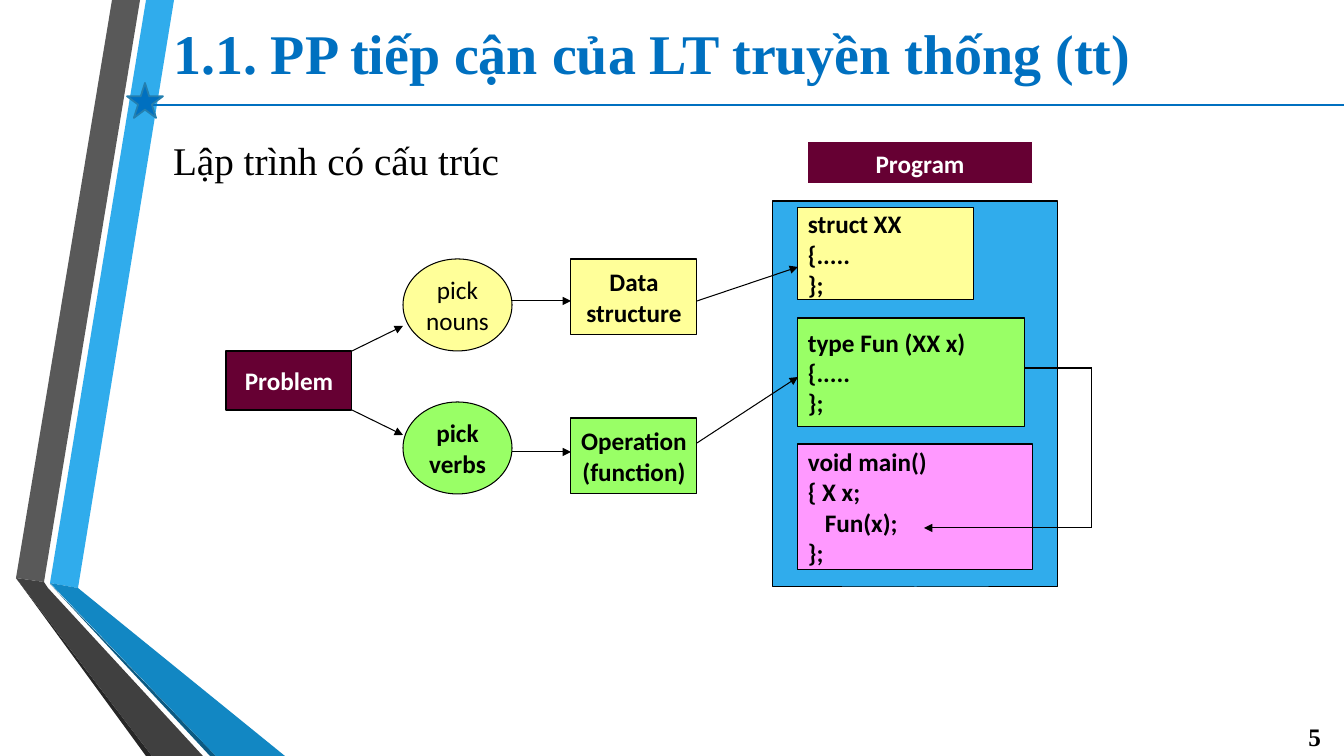
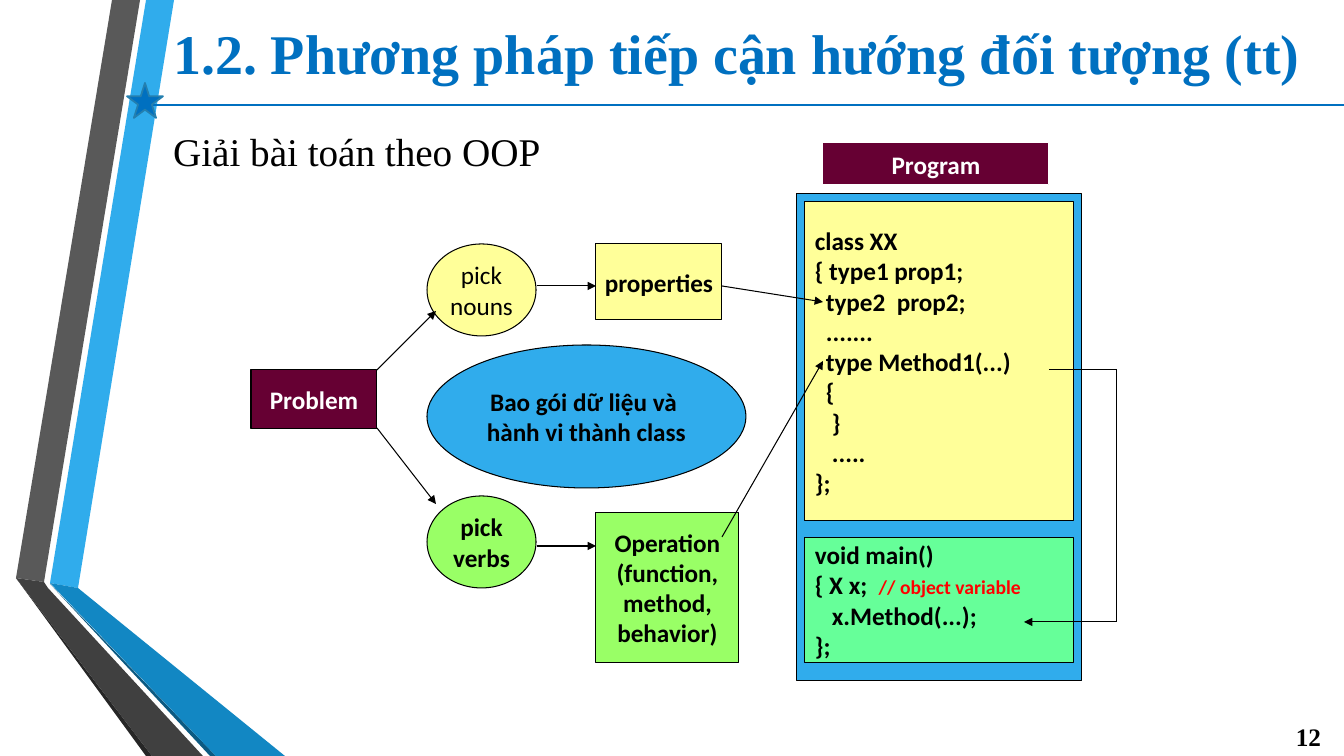
import dataclasses
import typing

import lxml.etree
import pptx
import pptx.dml.color
import pptx.enum.shapes
import pptx.enum.text
import pptx.oxml.ns
import pptx.util

SCALE = 914400 / 100.8
WIDTH, HEIGHT = 1344, 756
SERIF, SANS = "Times New Roman", "Calibri"
BLUE, SKY, MAROON = "0070C0", "30ACEC", "660033"
YELLOW, GREEN, MINT, PINK = "FFFF99", "99FF66", "66FF99", "FF99FF"
BLACK, WHITE, RED = "000000", "FFFFFF", "FF0000"

SHAPE = pptx.enum.shapes.MSO_SHAPE
ALIGN = pptx.enum.text.PP_ALIGN
ANCHOR = pptx.enum.text.MSO_ANCHOR
NO_FIT = pptx.enum.text.MSO_AUTO_SIZE.NONE

TITLE_FONT = {"name": SERIF, "size": pptx.util.Pt(40), "bold": True}
BODY_FONT = {"name": SERIF, "size": pptx.util.Pt(28), "bold": False}
NUMBER_FONT = {"name": SERIF, "size": pptx.util.Pt(18), "bold": True}
BOX_FONT = {"name": SANS, "size": pptx.util.Pt(18), "bold": True}
NOTE_FONT = {"name": SANS, "size": pptx.util.Pt(14), "bold": True}


@dataclasses.dataclass(frozen=True)
class Band:
    fill: str
    points: tuple[tuple[int, int], ...]


@dataclasses.dataclass(frozen=True)
class Line:
    text: str
    indent: int = 0
    note: str = ""


@dataclasses.dataclass(frozen=True)
class Box:
    x: int
    y: int
    w: int
    h: int
    fill: str
    lines: tuple[typing.Union[str, Line], ...] = ()
    align: ALIGN = ALIGN.CENTER
    kind: SHAPE = SHAPE.RECTANGLE
    color: str = BLACK
    border: str = BLACK
    bold: bool = True


@dataclasses.dataclass(frozen=True)
class Link:
    x1: int
    y1: int
    x2: int
    y2: int
    arrow: bool = True


@dataclasses.dataclass(frozen=True)
class Page:
    title: str
    body: str
    spacing: float
    number: str
    boxes: tuple[Box, ...]
    links: tuple[Link, ...]


BANDS = (
    Band(SKY, ((50, 583), (78, 588), (174, 0), (146, 0))),
    Band("595959", ((140, 0), (112, 0), (16, 578), (44, 582))),
    Band("262626", ((16, 578), (146, 756), (152, 756))),
    Band("0C5A82", ((50, 584), (210, 756), (216, 756))),
    Band("1287C3", ((50, 583), (216, 756), (285, 756), (78, 588))),
    Band("404040", ((203, 756), (48, 588), (44, 582), (16, 578), (152, 756))),
)


def px(n: float) -> int:
    return round(n * SCALE)


def rgb(value: str) -> pptx.dml.color.RGBColor:
    return pptx.dml.color.RGBColor.from_string(value)


def apply(target: typing.Any, values: dict[str, typing.Any]) -> None:
    for name, value in values.items():
        setattr(target, name, value)


def paint(sp: typing.Any, fill: str, border: str = "", width: float = 0.75) -> None:
    sp.shadow.inherit = False
    sp.fill.solid()
    sp.fill.fore_color.rgb = rgb(fill)
    if border:
        sp.line.color.rgb = rgb(border)
        sp.line.width = pptx.util.Pt(width)
    else:
        sp.line.fill.background()


def add_run(p: typing.Any, text: str, font: dict[str, typing.Any], color: str) -> None:
    r = p.add_run()
    r.text = text
    apply(r.font, font)
    r.font.color.rgb = rgb(color)


def set_text(sp: typing.Any, text: str, font: dict[str, typing.Any], color: str,
             align: ALIGN, anchor: ANCHOR) -> typing.Any:
    apply(sp.text_frame, {"word_wrap": True, "auto_size": NO_FIT, "vertical_anchor": anchor})
    p = sp.text_frame.paragraphs[0]
    apply(p, {"alignment": align, "space_before": pptx.util.Pt(0)})
    add_run(p, text, font, color)
    return p


def place(sp: typing.Any, x: int, y: int, w: int, h: int) -> None:
    apply(sp, {"left": px(x), "top": px(y), "width": px(w), "height": px(h)})


def draw_link(s: typing.Any, link: Link, color: str = BLACK, width: float = 0.75) -> None:
    cx = s.shapes.add_connector(
        pptx.enum.shapes.MSO_CONNECTOR.STRAIGHT,
        px(link.x1), px(link.y1), px(link.x2), px(link.y2))
    cx.line.color.rgb = rgb(color)
    cx.line.width = pptx.util.Pt(width)
    qn = pptx.oxml.ns.qn
    if link.arrow:
        lxml.etree.SubElement(cx.line._get_or_add_ln(), qn("a:tailEnd"), type="triangle")
    lxml.etree.SubElement(cx._element.spPr, qn("a:effectLst"))


def draw_box(s: typing.Any, box: Box) -> None:
    sp = s.shapes.add_shape(box.kind, px(box.x), px(box.y), px(box.w), px(box.h))
    paint(sp, box.fill, box.border)
    tf = sp.text_frame
    apply(tf, {"word_wrap": False, "vertical_anchor": ANCHOR.MIDDLE})
    for i, entry in enumerate(box.lines):
        line = Line(entry) if isinstance(entry, str) else entry
        p = tf.add_paragraph() if i else tf.paragraphs[0]
        p.alignment = box.align
        if line.indent:
            p._p.get_or_add_pPr().set("marL", str(px(line.indent)))
        add_run(p, line.text, {**BOX_FONT, "bold": box.bold}, box.color)
        if line.note:
            add_run(p, line.note, NOTE_FONT, RED)


def draw_frame(s: typing.Any) -> None:
    for band in BANDS:
        fb = s.shapes.build_freeform(*band.points[0], scale=SCALE)
        fb.add_line_segments(band.points[1:], close=True)
        paint(fb.convert_to_shape(), band.fill)
    draw_link(s, Link(151, 105, WIDTH, 105, arrow=False), BLUE, 1.75)
    star = s.shapes.add_shape(SHAPE.STAR_5_POINT, px(127), px(83), px(36), px(35))
    paint(star, BLUE, "247FAF", 1.25)


def draw_page(prs: typing.Any, page: Page) -> None:
    s = prs.slides.add_slide(prs.slide_layouts[1])
    draw_frame(s)
    title, body = s.shapes.title, s.placeholders[1]
    place(title, 163, 0, 1165, 105)
    set_text(title, page.title, TITLE_FONT, BLUE, ALIGN.LEFT, ANCHOR.MIDDLE)
    place(body, 163, 122, 1165, 594)
    p = set_text(body, page.body, BODY_FONT, BLACK, ALIGN.LEFT, ANCHOR.TOP)
    p.line_spacing = page.spacing
    pPr = p._p.get_or_add_pPr()
    apply_indent = {"marL": "0", "indent": "0"}
    for name, value in apply_indent.items():
        pPr.set(name, value)
    lxml.etree.SubElement(pPr, pptx.oxml.ns.qn("a:buNone"))
    number = s.shapes.add_textbox(px(1257), px(716), px(74), px(40))
    set_text(number, page.number, NUMBER_FONT, BLACK, ALIGN.RIGHT, ANCHOR.MIDDLE)
    for box in page.boxes:
        draw_box(s, box)
    for link in page.links:
        draw_link(s, link)


def problem(x: int, y: int) -> Box:
    return Box(x, y, 126, 59, MAROON, ("Problem",), color=WHITE)


def program(x: int, y: int) -> Box:
    return Box(x, y, 226, 42, MAROON, ("Program",), color=WHITE, border=WHITE)


def picks(x: int, nouns_y: int, verbs_y: int) -> tuple[Box, Box]:
    return (
        Box(x, nouns_y, 109, 92, YELLOW, ("pick", "nouns"), kind=SHAPE.OVAL, bold=False),
        Box(x, verbs_y, 109, 92, GREEN, ("pick", "verbs"), kind=SHAPE.OVAL),
    )


def call_loop(x1: int, y1: int, bend: int, x2: int, y2: int) -> tuple[Link, ...]:
    return (
        Link(x1, y1, bend, y1, arrow=False),
        Link(bend, y1, bend, y2, arrow=False),
        Link(bend, y2, x2, y2),
    )


PAGES = (
    Page(
        "1.1. PP tiếp cận của LT truyền thống (tt)", "Lập trình có cấu trúc", 1.2, "5",
        (
            problem(226, 351),
            Box(571, 259, 126, 76, YELLOW, ("Data", "structure")),
            Box(571, 418, 126, 76, GREEN, ("Operation", "(function)")),
            program(807, 142),
            Box(773, 201, 285, 386, SKY),
            Box(798, 208, 176, 92, YELLOW, ("struct XX", "{.....", "};"), ALIGN.LEFT),
            Box(798, 318, 227, 109, GREEN, ("type Fun (XX x)", "{.....", "};"), ALIGN.LEFT),
            Box(798, 444, 235, 126, PINK,
                ("void main()", "{ X x;", Line("Fun(x);", 17), "};"), ALIGN.LEFT),
            *picks(403, 259, 402),
        ),
        (
            Link(352, 351, 403, 326), Link(512, 301, 571, 301), Link(697, 301, 798, 267),
            Link(352, 410, 403, 435), Link(512, 452, 571, 452), Link(697, 443, 798, 377),
            *call_loop(1025, 368, 1092, 924, 528),
        ),
    ),
    Page(
        "1.2. Phương pháp tiếp cận hướng đối tượng (tt)", "Giải bài toán theo OOP", 1.0, "12",
        (
            problem(251, 370),
            Box(596, 244, 126, 76, YELLOW, ("properties",)),
            Box(596, 512, 143, 151, GREEN, ("Operation", "(function,", "method,", "behavior)")),
            program(823, 143),
            Box(797, 194, 285, 487, SKY),
            Box(805, 202, 269, 319, YELLOW,
                ("class XX", "{ type1 prop1;", Line("type2  prop2;", 11), Line(".......", 11),
                 Line("type Method1(...)", 11), Line("{", 11), Line("}", 17),
                 Line(".....", 17), "};"), ALIGN.LEFT),
            Box(805, 537, 269, 126, MINT,
                ("void main()", Line("{ X x;  ", note="// object variable"),
                 Line("x.Method(...);", 17), "};"), ALIGN.LEFT),
            *picks(427, 244, 496),
            Box(427, 345, 319, 143, SKY, ("Bao gói dữ liệu và ", "hành vi thành class"),
                kind=SHAPE.OVAL),
        ),
        (
            Link(377, 370, 436, 311), Link(537, 286, 596, 286), Link(722, 286, 823, 302),
            Link(377, 428, 436, 504), Link(537, 546, 596, 546), Link(722, 537, 823, 361),
            *call_loop(1049, 370, 1117, 1024, 622),
        ),
    ),
)


prs = pptx.Presentation()
apply(prs, {"slide_width": px(WIDTH), "slide_height": px(HEIGHT)})
for page in PAGES:
    draw_page(prs, page)
prs.save("out.pptx")
